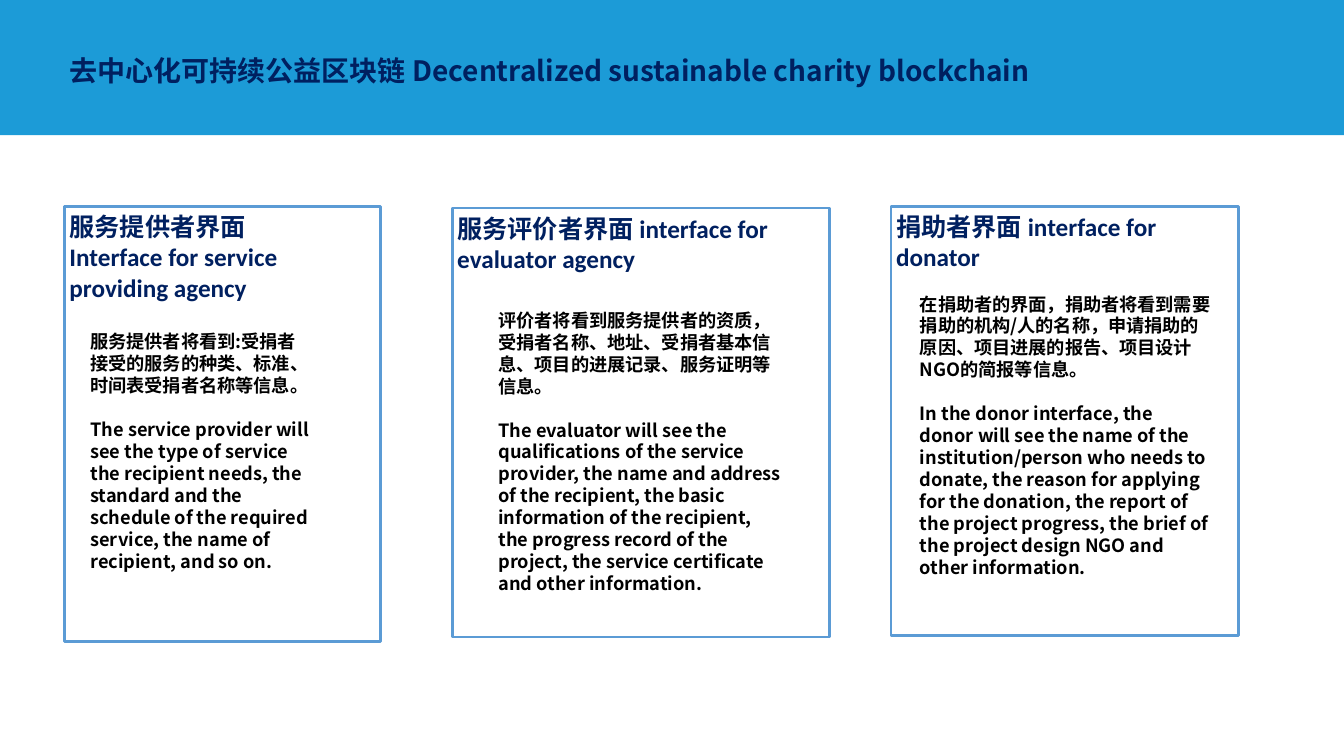
import pptx
import pptx.util
import pptx.dml.color
import pptx.enum.shapes
import pptx.enum.text

Pt = pptx.util.Pt
CJK = "Noto Sans CJK SC"
NAVY = "002060"

# Each panel: frame box, heading paragraphs, body box, body paragraphs
PANELS = [
    ((46, 147.5, 226, 310.5),
     ["服务提供者界面", "Interface for service providing agency"],
     (57.5, 232.5, 173.5, 181),
     ["服务提供者将看到:受捐者接受的服务的种类、标准、时间表受捐者名称等信息。",
      "The service provider will see the type of service the recipient needs, "
      "the standard and the schedule of the required service, the name of "
      "recipient, and so on."]),
    ((323, 148.5, 269.5, 306.5),
     ["服务评价者界面 interface for evaluator agency"],
     (349, 217, 216, 212.5),
     ["评价者将看到服务提供者的资质，受捐者名称、地址、受捐者基本信息、"
      "项目的进展记录、服务证明等信息。",
      "The evaluator will see the qualifications of the service provider, the "
      "name and address of the recipient, the basic information of the "
      "recipient, the progress record of the project, the service certificate "
      "and other information."]),
    ((636.5, 147.5, 248, 306.5),
     ["捐助者界面 interface for donator"],
     (650, 205.5, 222, 212.5),
     ["在捐助者的界面，捐助者将看到需要捐助的机构/人的名称，申请捐助的原因、"
      "项目进展的报告、项目设计NGO的简报等信息。",
      "In the donor interface, the donor will see the name of the "
      "institution/person who needs to donate, the reason for applying for the "
      "donation, the report of the project progress, the brief of the project "
      "design NGO and other information."]),
]


def rgb(color):
    return pptx.dml.color.RGBColor.from_string(color)


def write(sp, paragraphs, size, font, color, pitch=None, gap=0, side=3.6, wrap=True):
    """Fill a shape with bold left-aligned paragraphs."""
    tf = sp.text_frame
    tf.word_wrap = wrap
    tf.vertical_anchor = pptx.enum.text.MSO_ANCHOR.TOP
    tf.margin_left = tf.margin_right = Pt(side)
    tf.margin_top = tf.margin_bottom = Pt(3.6)
    for i, text in enumerate(paragraphs):
        p = tf.add_paragraph() if i else tf.paragraphs[0]
        p.alignment = pptx.enum.text.PP_ALIGN.LEFT
        if pitch:
            p.line_spacing = Pt(pitch)
        if i and gap:
            p.space_before = Pt(gap)
        r = p.add_run()
        r.text = text
        r.font.size = Pt(size)
        r.font.name = font
        r.font.bold = True
        r.font.color.rgb = rgb(color)


def add_box(s, box, fill, line=None):
    sp = s.shapes.add_shape(pptx.enum.shapes.MSO_SHAPE.RECTANGLE, *map(Pt, box))
    sp.shadow.inherit = False
    sp.fill.solid()
    sp.fill.fore_color.rgb = rgb(fill)
    if line:
        sp.line.color.rgb = rgb(line)
        sp.line.width = Pt(2)
    else:
        sp.line.fill.background()
    return sp


def add_text(s, box, paragraphs, size, color, **layout):
    sp = s.shapes.add_textbox(*map(Pt, box))
    write(sp, paragraphs, size, CJK, color, **layout)


def main():
    prs = pptx.Presentation()
    prs.slide_width, prs.slide_height = Pt(960), Pt(540)
    s = prs.slides.add_slide(prs.slide_layouts[6])

    # Title banner
    add_box(s, (-5, -2, 969, 98.5), "1C9BD7")
    add_text(s, (46, 34, 771, 31.5),
             ["去中心化可持续公益区块链 Decentralized sustainable charity blockchain"],
             20, NAVY, pitch=24.5, wrap=False)

    # Interface panels
    for frame, heading, body_box, body in PANELS:
        sp = add_box(s, frame, "FFFFFF", "5B9BD5")
        write(sp, heading, 18, "Calibri", NAVY)
        add_text(s, body_box, body, 13, "000000", pitch=15.7, gap=15.7, side=7.2)

    prs.save("out.pptx")


if __name__ == "__main__":
    main()
